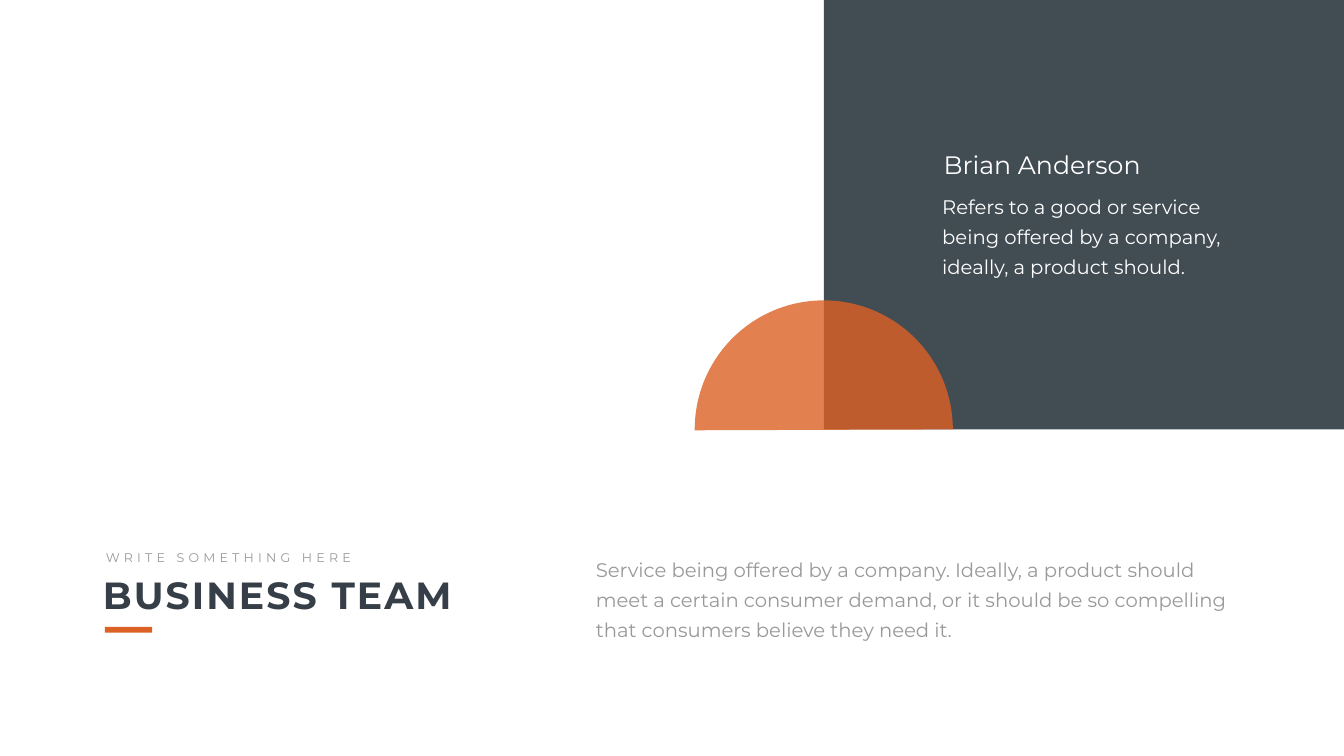
from dataclasses import dataclass

from lxml.etree import SubElement
from pptx import Presentation
from pptx.dml.color import RGBColor
from pptx.enum.shapes import MSO_SHAPE
from pptx.enum.text import MSO_ANCHOR, MSO_AUTO_SIZE, PP_ALIGN
from pptx.oxml.ns import qn
from pptx.util import Inches, Pt


@dataclass(frozen=True)
class Theme:
    """Colours, font and type sizes of the slide."""
    font: str = "Montserrat"
    slate: str = "424C53"
    ink: str = "363E48"
    grey: str = "999999"
    orange: str = "DD6125"
    white: str = "FFFFFF"
    title: int = 54
    name: int = 36
    body: int = 28
    kicker: int = 18
    leading: int = 43
    body_gap: float = 5.6


THEME = Theme()


def write(holder, text, size, color, bold=False, tracking=0, wrap=True):
    """Fill a text holder with one left-aligned, top-anchored paragraph."""
    frame = holder.text_frame
    frame.text = text
    frame.word_wrap = wrap
    frame.auto_size = MSO_AUTO_SIZE.SHAPE_TO_FIT_TEXT
    frame.vertical_anchor = MSO_ANCHOR.TOP
    paragraph = frame.paragraphs[0]
    paragraph.alignment = PP_ALIGN.LEFT
    font = paragraph.runs[0].font
    font.name = THEME.font
    font.size = Pt(size)
    font.bold = bold
    font.color.rgb = RGBColor.from_string(color)
    if tracking:
        paragraph.runs[0]._r.get_or_add_rPr().set("spc", str(tracking * 100))


def add_label(slide, box, text, size, color, **style):
    """Add a text box at the given box."""
    label = slide.shapes.add_textbox(*map(Inches, box))
    write(label, text, size, color, **style)
    return label


def add_body(slide, box, text, color):
    """Add a body paragraph with wide margins and fixed leading."""
    body = add_label(slide, box, text, THEME.body, color)
    frame = body.text_frame
    frame.margin_left = frame.margin_right = Inches(0.24)
    frame.margin_top = frame.margin_bottom = Inches(0.12)
    frame.paragraphs[0].line_spacing = Pt(THEME.leading)
    frame.paragraphs[0].space_before = Pt(THEME.body_gap)


def add_block(slide, kind, box, color):
    """Add a flat shape without outline or shadow."""
    block = slide.shapes.add_shape(kind, *map(Inches, box))
    block.shadow.inherit = False
    block.fill.solid()
    block.fill.fore_color.rgb = RGBColor.from_string(color)
    block.line.fill.background()
    return block


def add_profile(slide, left, top, width, height):
    """Place the dark panel with the member's name and description."""
    add_block(slide, MSO_SHAPE.RECTANGLE, (left, top, width, height), THEME.slate)
    add_body(slide, (left + 2.11, top + 3.61, 6.1, 2),
             "Refers to a good or service being offered by a company, "
             "ideally, a product should.", THEME.white)
    add_label(slide, (left + 2.28, top + 2.91, 5.67, 0.71),
              "Brian Anderson", THEME.name, THEME.white)


def add_half_disc(slide, center, base, diameter):
    """Place the translucent half disc standing on the panel's lower edge."""
    radius = diameter / 2
    disc = add_block(slide, MSO_SHAPE.CHORD,
                     (center - radius, base - radius, diameter, diameter),
                     THEME.orange)
    disc.rotation = 90
    disc.adjustments[0] = 53.76
    disc.adjustments[1] = 162
    tint = disc._element.spPr.find(qn("a:solidFill"))[0]
    SubElement(tint, qn("a:alpha")).set("val", "80000")


def add_heading(slide, left, top, width):
    """Place the kicker, the title and the accent bar."""
    add_label(slide, (left + 0.06, top, 5.18, 0.4), "WRITE SOMETHING HERE",
              THEME.kicker, THEME.grey, tracking=6, wrap=False)
    title = slide.shapes.title
    title.left, title.top = Inches(left), Inches(top + 0.43)
    title.width, title.height = Inches(width), Inches(1.01)
    write(title, "BUSINESS TEAM", THEME.title, THEME.ink, bold=True, tracking=3)
    add_block(slide, MSO_SHAPE.RECTANGLE, (left + 0.14, top + 1.57, 0.94, 0.11),
              THEME.orange)


def main():
    """Build and save the team slide."""
    deck = Presentation()
    deck.slide_width, deck.slide_height = Inches(26.66), Inches(15)
    slide = deck.slides.add_slide(deck.slide_layouts[5])
    panel_left, panel_height = 16.34, 8.52
    add_profile(slide, panel_left, 0, 26.66 - panel_left, panel_height)
    add_half_disc(slide, panel_left, panel_height, 5.12)
    add_heading(slide, 1.94, 10.87, 7.9)
    add_body(slide, (11.58, 10.81, 13.13, 2),
             "Service being offered by a company. Ideally, a product should meet "
             "a certain consumer demand, or it should be so compelling that "
             "consumers believe they need it.", THEME.grey)
    deck.save("out.pptx")


if __name__ == "__main__":
    main()
